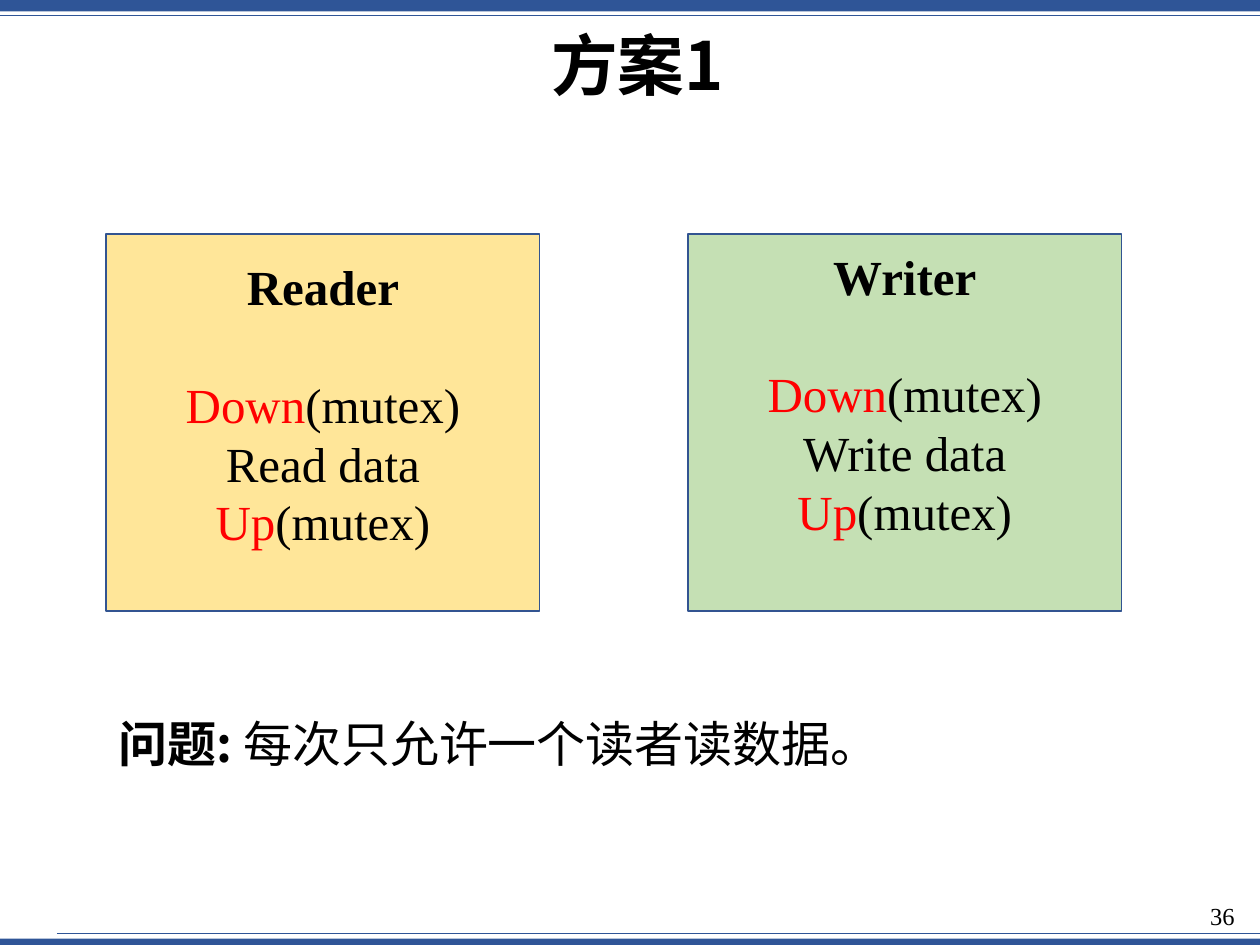
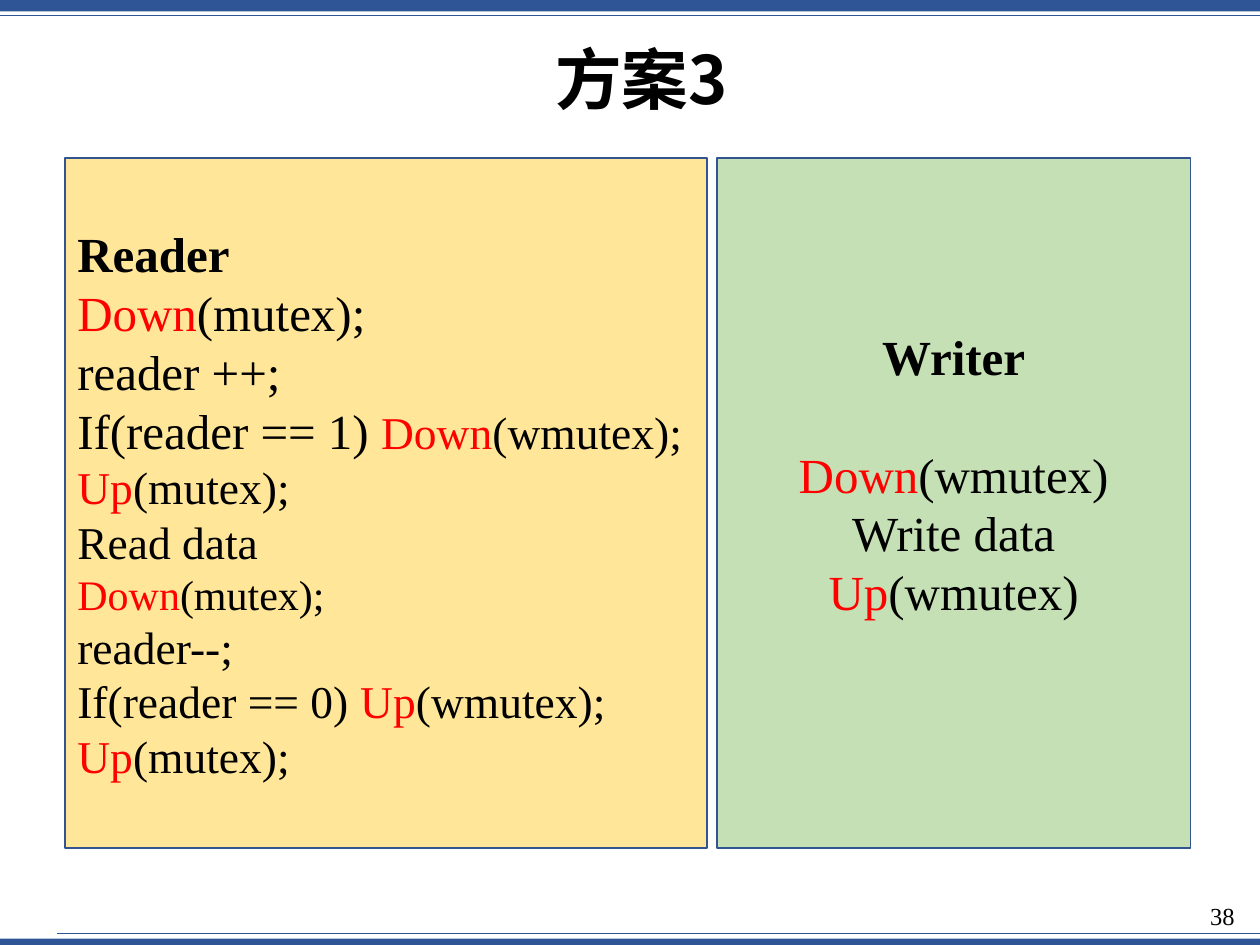
from dataclasses import dataclass

from lxml import etree
from pptx import Presentation
from pptx import util as u
from pptx.dml.color import RGBColor
from pptx.enum import shapes, text
from pptx.oxml import ns

COLORS = {
    "band": "2F5597",
    "border": "325491",
    "reader": "FFE699",
    "writer": "C5E0B4",
    "ink": "000000",
    "semaphore": "FF0000",
}
LATIN, CJK = "Times New Roman", "Noto Sans CJK SC"
WIDTH, HEIGHT = 25.4, 19.05
PANEL_SIZE = 28
LINE_RATIO = 1.2
INSET = 3.6
LEFT, CENTER, RIGHT = text.PP_ALIGN.LEFT, text.PP_ALIGN.CENTER, text.PP_ALIGN.RIGHT


@dataclass(frozen=True)
class Box:
    left: float
    top: float
    width: float
    height: float

    def lengths(self) -> list:
        return [u.Cm(v) for v in (self.left, self.top, self.width, self.height)]


@dataclass(frozen=True)
class Run:
    text: str
    size: float = PANEL_SIZE
    bold: bool = False
    font: str = LATIN

    @property
    def color(self) -> str:
        return "semaphore" if self.text in ("Down", "Up") else "ink"


@dataclass(frozen=True)
class Panel:
    box: Box
    fill: str
    heading: str
    lines: list
    align: text.PP_ALIGN = CENTER
    heading_gap: float = PANEL_SIZE * LINE_RATIO
    bottom_gap: float = PANEL_SIZE * LINE_RATIO


@dataclass(frozen=True)
class Page:
    number: int
    title: str
    title_box: Box
    panels: list


def rgb(name: str) -> RGBColor:
    return RGBColor.from_string(COLORS[name])


def call(name: str, rest: str, size: float = PANEL_SIZE) -> list:
    return [Run(name, size), Run(rest, size)]


def critical_section(action: str, mutex: str) -> list:
    return [call("Down", f"({mutex})"), [Run(action)], call("Up", f"({mutex})")]


def write_lines(tf, lines: list, align: text.PP_ALIGN) -> None:
    for i, line in enumerate(lines):
        p = tf.paragraphs[0] if i == 0 else tf.add_paragraph()
        p.alignment = align
        for part in line:
            r = p.add_run()
            r.text = part.text
            r.font.size = u.Pt(part.size)
            r.font.bold = part.bold
            r.font.name = part.font
            r.font.color.rgb = rgb(part.color)
            etree.SubElement(r.font._element, ns.qn("a:ea"), typeface=part.font)


def add_text(s, box: Box, line: list, align: text.PP_ALIGN = LEFT):
    tf = s.shapes.add_textbox(*box.lengths()).text_frame
    tf.word_wrap = True
    write_lines(tf, [line], align)
    return tf


def add_rect(s, box: Box, fill: str):
    sp = s.shapes.add_shape(shapes.MSO_SHAPE.RECTANGLE, *box.lengths())
    sp.shadow.inherit = False
    sp.fill.solid()
    sp.fill.fore_color.rgb = rgb(fill)
    sp.line.fill.background()
    return sp


def add_rule(s, left: float, y: float) -> None:
    line = s.shapes.add_connector(
        shapes.MSO_CONNECTOR.STRAIGHT, u.Cm(left), u.Cm(y), u.Cm(WIDTH), u.Cm(y))
    line.line.color.rgb = rgb("band")
    line.line.width = u.Pt(0.5)
    etree.SubElement(line._element.spPr, ns.qn("a:effectLst"))


def add_panel(s, panel: Panel) -> None:
    sp = add_rect(s, panel.box, panel.fill)
    sp.line.color.rgb = rgb("border")
    sp.line.width = u.Pt(1)
    tf = sp.text_frame
    tf.word_wrap = True
    tf.vertical_anchor = text.MSO_ANCHOR.MIDDLE
    tf.margin_bottom = u.Pt(INSET + panel.bottom_gap)
    write_lines(tf, [[Run(panel.heading, bold=True)], *panel.lines], panel.align)
    tf.paragraphs[0].space_after = u.Pt(panel.heading_gap)


def add_page(prs, page: Page):
    s = prs.slides.add_slide(prs.slide_layouts[6])
    add_rect(s, Box(0, HEIGHT - 0.13, WIDTH, 0.13), "band")
    add_rect(s, Box(0, 0, WIDTH, 0.23), "band")
    add_rule(s, 0, 0.31)
    add_rule(s, 1.15, 18.82)
    add_text(s, Box(23.77, 18.03, 1.37, 1.02), [Run(str(page.number), 14)], RIGHT)
    tf = add_text(s, page.title_box, [Run(page.title, 38, True, CJK)], CENTER)
    tf.vertical_anchor = text.MSO_ANCHOR.MIDDLE
    tf.paragraphs[0].line_spacing = 0.9
    for panel in page.panels:
        add_panel(s, panel)
    return s


READER_LINES = [
    call("Down", "(mutex);"),
    [Run("reader ++;")],
    [Run("If(reader == 1) "), *call("Down", "(wmutex);", 26)],
    call("Up", "(mutex);", 26),
    [Run("Read data", 26)],
    call("Down", "(mutex);", 24),
    [Run("reader--;", 26)],
    [Run("If(reader == 0) ", 26), *call("Up", "(wmutex);", 26)],
    call("Up", "(mutex);", 26),
]

SINGLE_MUTEX = Page(36, "方案1", Box(2.06, 0.3, 21.59, 2.18), [
    Panel(Box(13.87, 4.72, 8.74, 7.6), "writer", "Writer",
          critical_section("Write data", "mutex")),
    Panel(Box(2.14, 4.72, 8.74, 7.6), "reader", "Reader",
          critical_section("Read data", "mutex"), bottom_gap=18 * LINE_RATIO),
])

READER_COUNT = Page(38, "方案3", Box(2.14, 0.58, 21.59, 2.18), [
    Panel(Box(14.45, 3.18, 9.55, 13.92), "writer", "Writer",
          critical_section("Write data", "wmutex")),
    Panel(Box(1.31, 3.18, 12.95, 13.92), "reader", "Reader",
          READER_LINES, LEFT, heading_gap=0, bottom_gap=0),
])


def main() -> None:
    prs = Presentation()
    prs.slide_width, prs.slide_height = u.Cm(WIDTH), u.Cm(HEIGHT)
    s = add_page(prs, SINGLE_MUTEX)
    add_text(s, Box(2.14, 14.25, 22.5, 1.45), [
        Run("问题: ", bold=True, font=CJK),
        Run("每次只允许一个读者读数据。", font=CJK),
    ])
    add_page(prs, READER_COUNT)
    prs.save("out.pptx")


if __name__ == "__main__":
    main()
